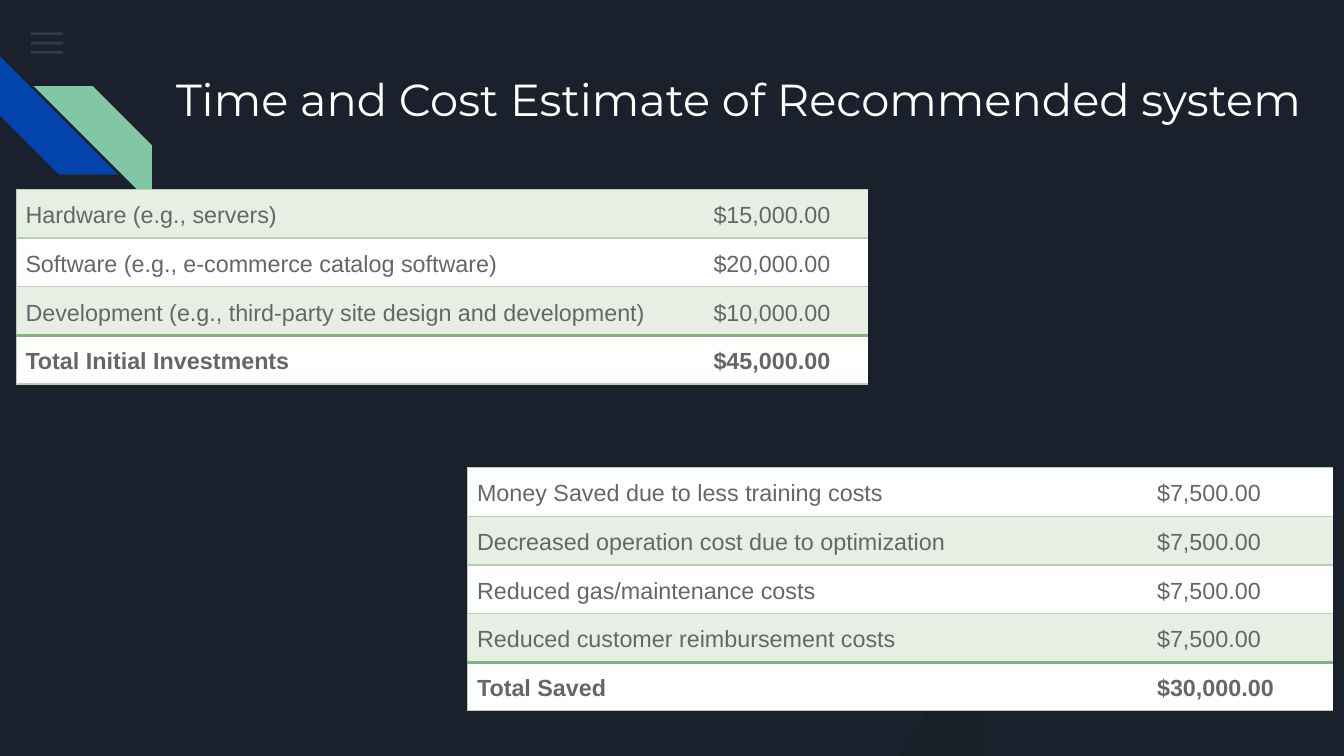
from lxml import etree
from pptx import Presentation
from pptx.dml.color import RGBColor
from pptx.enum.shapes import MSO_SHAPE
from pptx.enum.text import MSO_ANCHOR, MSO_AUTO_SIZE, PP_ALIGN
from pptx.oxml.ns import qn
from pptx.util import Inches, Pt

RECTANGLE = MSO_SHAPE.RECTANGLE
STRIPE = MSO_SHAPE.DIAGONAL_STRIPE
TRIANGLE = MSO_SHAPE.RIGHT_TRIANGLE
LEFT = PP_ALIGN.LEFT
TOP = MSO_ANCHOR.TOP
NO_AUTOFIT = MSO_AUTO_SIZE.NONE
TITLE_ONLY = 5

# Content
TITLE = "Time and Cost Estimate of Recommended system"
INVESTMENTS = [
    ("Hardware (e.g., servers)", "$15,000.00"),
    ("Software (e.g., e-commerce catalog software)", "$20,000.00"),
    ("Development (e.g., third-party site design and development)", "$10,000.00"),
    ("Total Initial Investments", "$45,000.00"),
]
SAVINGS = [
    ("Money Saved due to less training costs", "$7,500.00"),
    ("Decreased operation cost due to optimization", "$7,500.00"),
    ("Reduced gas/maintenance costs", "$7,500.00"),
    ("Reduced customer reimbursement costs", "$7,500.00"),
    ("Total Saved", "$30,000.00"),
]

# Left, top, column widths; the total row is always plain white
TABLES = [
    (INVESTMENTS, 0.12, 1.41, (5.12, 1.22)),
    (SAVINGS, 3.48, 3.48, (5.06, 1.38)),
]

THEME = {
    "background": "1B212C",
    "menu": "55688B",
    "blue": "0145AC",
    "green": "82C7A5",
    "shade": "000000",
    "title": "FFFFFF",
    "text": "666666",
    "row": "FFFFFF",
    "band": "E7EFE4",
    "rule": "B7D0B0",
    "total_rule": "87B07D",
    "title_font": "Montserrat",
    "table_font": "Arial",
    "title_size": 24,
    "table_size": 12.5,
    "rule_width": 0.75,
    "total_rule_width": 2,
}
SLIDE_WIDTH = Inches(10)
SLIDE_HEIGHT = SLIDE_WIDTH * 9 // 16
ROW_HEIGHT = 0.35
CELL_INSET = 0.07


def color(name):
    return RGBColor.from_string(THEME[name])


def set_font(paragraph, part, color_name, bold=False):
    font = paragraph.font
    font.name = THEME[part + "_font"]
    font.size = Pt(THEME[part + "_size"])
    font.color.rgb = color(color_name)
    font.bold = bold


def add_decoration(slide, preset, box, color_name, opacity=100, flip=False):
    shape = slide.shapes.add_shape(preset, *map(Inches, box))
    shape.shadow.inherit = False
    shape.fill.solid()
    shape.fill.fore_color.rgb = color(color_name)
    shape.line.fill.background()
    properties = shape._element.spPr
    if opacity < 100:
        tint = properties.find(qn("a:solidFill"))[0]
        etree.SubElement(tint, qn("a:alpha"), val=str(opacity * 1000))
    if flip:
        properties.find(qn("a:xfrm")).set("flipH", "1")
    return shape


def add_border(cell, side, rule=None):
    """Draw one cell edge in the named rule, or hide it."""
    border = etree.SubElement(cell._tc.get_or_add_tcPr(), qn("a:ln" + side))
    if rule is None:
        etree.SubElement(border, qn("a:noFill"))
        return
    border.set("w", str(Pt(THEME[rule + "_width"])))
    fill = etree.SubElement(border, qn("a:solidFill"))
    etree.SubElement(fill, qn("a:srgbClr"), val=THEME[rule])


def add_cost_table(slide, costs, left, top, widths):
    frame = slide.shapes.add_table(
        len(costs), len(widths), Inches(left), Inches(top),
        Inches(sum(widths)), Inches(ROW_HEIGHT * len(costs)))
    table = frame.table
    table.first_row = False
    table.horz_banding = False
    for column, width in zip(table.columns, widths):
        column.width = Inches(width)

    total = len(costs) - 1
    for r, cost in enumerate(costs):
        table.rows[r].height = Inches(ROW_HEIGHT)
        for c, wording in enumerate(cost):
            cell = table.cell(r, c)
            cell.margin_left = cell.margin_right = Inches(CELL_INSET)
            cell.margin_top = cell.margin_bottom = Inches(CELL_INSET)
            add_border(cell, "L", "rule" if c == 0 else None)
            add_border(cell, "R")
            add_border(cell, "T", "total_rule" if r == total else "rule")
            add_border(cell, "B", "total_rule" if r == total - 1 else "rule")
            # Bands alternate upwards from the total row
            cell.fill.solid()
            cell.fill.fore_color.rgb = color("band" if (total - r) % 2 else "row")
            cell.text = wording
            paragraph = cell.text_frame.paragraphs[0]
            paragraph.line_spacing = 1.15
            set_font(paragraph, "table", "text", bold=r == total)


def main():
    deck = Presentation()
    deck.slide_width, deck.slide_height = SLIDE_WIDTH, SLIDE_HEIGHT
    slide = deck.slides.add_slide(deck.slide_layouts[TITLE_ONLY])
    slide.background.fill.solid()
    slide.background.fill.fore_color.rgb = color("background")

    # Menu icon
    for i in range(3):
        add_decoration(slide, RECTANGLE, (0.23, 0.24 + 0.07 * i, 0.24, 0.02), "menu", 36)

    # Corner stripes
    blue_stripe = add_decoration(slide, STRIPE, (0, 0.42, 0.88, 0.88), "blue")
    blue_stripe.rotation = 270
    add_decoration(slide, STRIPE, (0.25, 0.64, 0.88, 0.88), "green", flip=True)

    # Title
    title = slide.shapes.title
    title.left, title.top, title.width, title.height = map(Inches, (1.21, 0.43, 8.7, 0.59))
    heading = title.text_frame
    heading.text = TITLE
    heading.word_wrap = True
    heading.auto_size = NO_AUTOFIT
    heading.vertical_anchor = TOP
    heading.margin_left = heading.margin_right = Inches(0.1)
    heading.margin_top = heading.margin_bottom = Inches(0.1)
    heading.paragraphs[0].alignment = LEFT
    set_font(heading.paragraphs[0], "title", "title")

    # Faint triangle behind the tables
    add_decoration(slide, TRIANGLE, (6.7, 4.59, 0.62, 1.04), "shade", 5, flip=True)

    # Cost tables
    for costs, left, top, widths in TABLES:
        add_cost_table(slide, costs, left, top, widths)

    deck.save("out.pptx")


if __name__ == "__main__":
    main()
